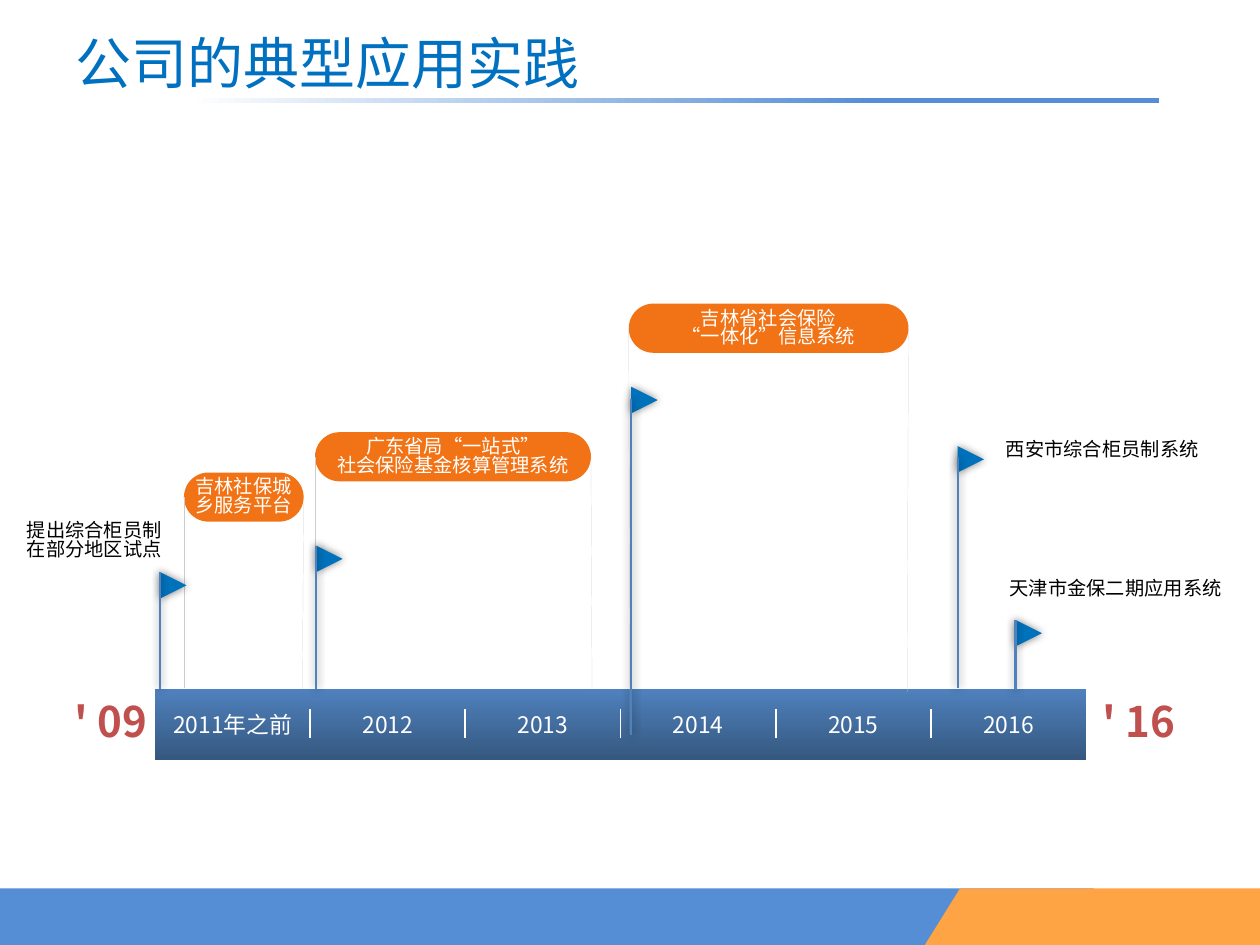
import pptx
import pptx.util
import pptx.dml.color
import pptx.enum.dml
import pptx.enum.shapes
import pptx.enum.text
import pptx.oxml.ns
from lxml import etree

RGB = pptx.dml.color.RGBColor
SHAPE = pptx.enum.shapes.MSO_SHAPE
ALIGN = pptx.enum.text.PP_ALIGN
ANCHOR = pptx.enum.text.MSO_ANCHOR
AUTO_SIZE = pptx.enum.text.MSO_AUTO_SIZE

PX = 9144  # 100 px to the inch
FONT = "Noto Sans CJK SC"
TITLE_BLUE = RGB(0x00, 0x70, 0xC0)
THEME_BLUE = RGB(0x55, 0x8E, 0xD5)
CORNER_ORANGE = RGB(0xFF, 0xA4, 0x45)
BAR_TOP = RGB(0x4F, 0x81, 0xBD)
BAR_BOTTOM = RGB(0x35, 0x58, 0x7F)
FLAG_BLUE = RGB(0x00, 0x72, 0xBC)
PILL_ORANGE = RGB(0xF2, 0x73, 0x15)
GUIDE_GREY = RGB(0xCC, 0xCC, 0xCC)
YEAR_RED = RGB(0xC0, 0x50, 0x4D)
WHITE = RGB(0xFF, 0xFF, 0xFF)
BLACK = RGB(0, 0, 0)

YEARS = ["2011年之前", "2012", "2013", "2014", "2015", "2016"]


def px(*lengths):
    return [round(length * PX) for length in lengths]


def write(frame, text, size, color, align=ALIGN.CENTER, spacing=None, bold=None):
    frame.text = text
    for paragraph in frame.paragraphs:
        paragraph.alignment = align
        if spacing:
            paragraph.line_spacing = spacing
        for run in paragraph.runs:
            run.font.size = pptx.util.Pt(size)
            run.font.bold = bold
            run.font.name = FONT
            run.font.color.rgb = color
            east_asian = etree.SubElement(run._r.get_or_add_rPr(), pptx.oxml.ns.qn("a:ea"))
            east_asian.set("typeface", FONT)


def set_effects(shape, glow=False):
    """Override the theme shadow, with a soft dark halo if glow is set."""
    qn = pptx.oxml.ns.qn
    effects = etree.SubElement(shape._element.spPr, qn("a:effectLst"))
    if glow:
        shadow = etree.SubElement(effects, qn("a:outerShdw"), blurRad="63500", dist="0", dir="0")
        black = etree.SubElement(shadow, qn("a:srgbClr"), val="000000")
        etree.SubElement(black, qn("a:alpha"), val="50000")


def paint(shape, color, glow=False):
    shape.fill.solid()
    shape.fill.fore_color.rgb = color
    shape.line.fill.background()
    set_effects(shape, glow)


def paint_gradient(shape, stops, angle):
    shape.fill.gradient()
    shape.fill.gradient_angle = angle
    for stop, (position, color) in zip(shape.fill.gradient_stops, stops):
        stop.position = position
        stop.color.rgb = color
    shape.line.fill.background()
    set_effects(shape)


def add_line(slide, x1, y1, x2, y2, color, width, glow=False):
    line = slide.shapes.add_connector(
        pptx.enum.shapes.MSO_CONNECTOR.STRAIGHT, *px(x1, y1, x2, y2))
    line.line.color.rgb = color
    line.line.width = pptx.util.Pt(width)
    set_effects(line, glow)
    return line


def add_footer(slide, left, top, width, height):
    band = slide.shapes.add_shape(SHAPE.RECTANGLE, *px(left, top, width - 132, height))
    paint(band, THEME_BLUE)
    right, bottom = left + width, top + height
    outline = slide.shapes.build_freeform(right - 238, top, scale=PX)
    outline.add_line_segments([(right, top), (right, bottom), (right - 266, bottom)])
    paint(outline.convert_to_shape(), CORNER_ORANGE)


def add_title(slide, text, left, top, width, height):
    rule = slide.shapes.add_shape(
        SHAPE.RECTANGLE, *px(left + 98, top + 65, width - 128, 4))
    paint_gradient(rule, [(0.29, THEME_BLUE), (1, WHITE)], 180)
    title = slide.shapes.title
    title.left, title.top, title.width, title.height = px(left, top, width, height)
    frame = title.text_frame
    frame.auto_size = AUTO_SIZE.NONE
    frame.vertical_anchor = ANCHOR.MIDDLE
    write(frame, text, 32, TITLE_BLUE, ALIGN.LEFT)


def add_end_year(slide, text, left, top):
    box = slide.shapes.add_textbox(*px(left, top, 82, 50))
    box.text_frame.word_wrap = False
    write(box.text_frame, text, 24, YEAR_RED, bold=True)


def add_timeline(slide, left, top, width, height):
    bar = slide.shapes.add_shape(SHAPE.RECTANGLE, *px(left, top, width, height))
    paint_gradient(bar, [(0, BAR_TOP), (1, BAR_BOTTOM)], 270)
    step = width / len(YEARS)
    for index, year in enumerate(YEARS):
        x = left + index * step
        if index:
            add_line(slide, x, top + 16, x, top + 39, WHITE, 1)
        cell = slide.shapes.add_textbox(*px(x, top, step, height))
        cell.text_frame.word_wrap = True
        cell.text_frame.vertical_anchor = ANCHOR.MIDDLE
        write(cell.text_frame, year, 13, WHITE)
    add_end_year(slide, "' 09", left - 76, top)
    add_end_year(slide, "' 16", left + width + 1, top)


def add_project(slide, text, left, top, width, left_foot, right_foot):
    """Pill spanning a period, with a guide dropped from each end to its foot."""
    pill = slide.shapes.add_shape(SHAPE.ROUNDED_RECTANGLE, *px(left, top, width, 39))
    pill.adjustments[0] = 0.5
    paint(pill, PILL_ORANGE)
    frame = pill.text_frame
    frame.word_wrap = False
    frame.vertical_anchor = ANCHOR.MIDDLE
    frame.margin_left, frame.margin_top, frame.margin_right, frame.margin_bottom = px(5, 2, 5, 1)
    write(frame, text, 11, WHITE, spacing=0.8)
    for site, (x, y) in ((1, left_foot), (3, right_foot)):
        guide = add_line(slide, x, y, x, top, GUIDE_GREY, 0.1)
        guide.end_connect(pill, site)


def add_flag(slide, x, top, pole_top, foot):
    pennant = slide.shapes.add_shape(SHAPE.FLOWCHART_MERGE, *px(x, top, 21, 21))
    pennant.rotation = 270
    paint(pennant, FLAG_BLUE, glow=True)
    add_line(slide, x, pole_top, x, foot, BAR_TOP, 1.25, glow=True)


def add_label(slide, text, left, top, width, height):
    label = slide.shapes.add_textbox(*px(left, top, width, height))
    label.text_frame.word_wrap = True
    label.text_frame.auto_size = AUTO_SIZE.SHAPE_TO_FIT_TEXT
    write(label.text_frame, text, 11, BLACK, spacing=0.8)


def main():
    deck = pptx.Presentation()
    deck.slide_width, deck.slide_height = px(1000, 750)
    slide = deck.slides.add_slide(deck.slide_layouts[5])

    add_footer(slide, 0, 705, 1000, 45)
    add_title(slide, "公司的典型应用实践", 50, 13, 900, 72)
    add_project(slide, "吉林社保城\n乡服务平台", 146, 375, 95, (146, 546), (240, 548))
    add_project(slide, "广东省局“一站式”\n社会保险基金核算管理系统",
                250, 343, 219, (250, 570), (470, 570))
    add_timeline(slide, 123, 547, 739, 56)
    add_project(slide, "吉林省社会保险\n“一体化”信息系统",
                499, 241, 222, (500, 582), (720, 549))

    for flag in [(127, 454, 454, 547), (251, 433, 433, 547), (501, 307, 317, 583),
                 (760, 354, 363, 546), (806, 492, 492, 548)]:
        add_flag(slide, *flag)
    add_label(slide, "提出综合柜员制在部分地区试点", 7, 410, 136, 39)
    add_label(slide, "西安市综合柜员制系统", 788, 346, 174, 25)
    add_label(slide, "天津市金保二期应用系统", 788, 456, 195, 25)

    deck.save("out.pptx")


if __name__ == "__main__":
    main()
